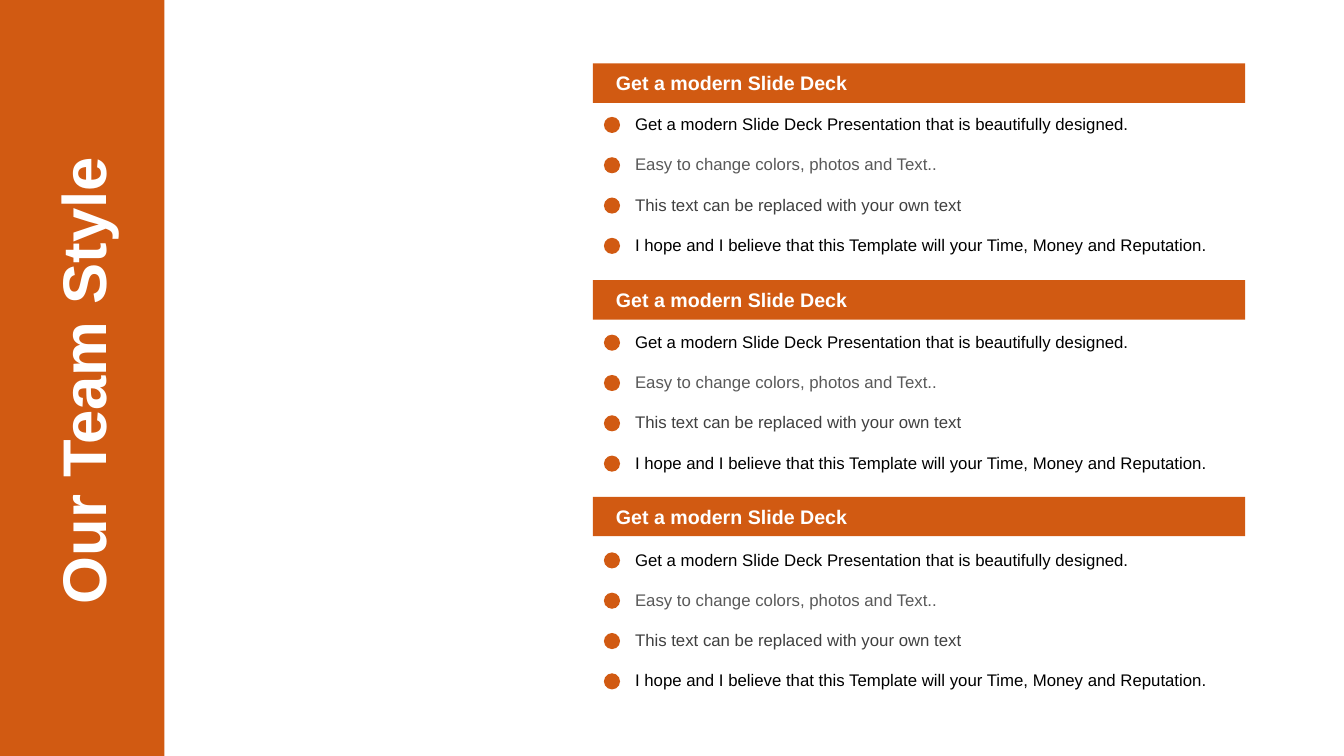
from pptx import Presentation
from pptx import util as u
from pptx.dml.color import RGBColor
from pptx.enum import shapes, text

COLORS = {"accent": "D15A12", "white": "FFFFFF", "black": "000000",
          "gray": "595959", "dark": "404040"}
HEADING = "Get a modern Slide Deck"
BULLETS = [
    ("Get a modern Slide Deck Presentation that is beautifully designed.", "black"),
    ("Easy to change colors, photos and Text..", "gray"),
    ("This text can be replaced with your own text", "dark"),
    ("I hope and I believe that this Template will your Time, Money and Reputation.", "black"),
]


def add_block(s, kind, x, y, w, h):
    """Add an accent-filled shape without outline."""
    sp = s.shapes.add_shape(kind, *map(u.Inches, (x, y, w, h)))
    sp.shadow.inherit = False
    sp.fill.solid()
    sp.fill.fore_color.rgb = RGBColor.from_string(COLORS["accent"])
    sp.line.fill.background()
    return sp


def add_label(s, words, x, y, w, h, size, color, bold=False, wrap=True):
    """Add a one-line text box in Arial."""
    sp = s.shapes.add_textbox(*map(u.Inches, (x, y, w, h)))
    tf = sp.text_frame
    tf.word_wrap = wrap
    p = tf.paragraphs[0]
    p.text = words
    p.font.name = "Arial"
    p.font.size = u.Pt(size)
    p.font.bold = bold
    p.font.color.rgb = RGBColor.from_string(COLORS[color])
    return sp


def add_sidebar(s, x, y, w, h):
    """Draw the side band with the title turned along it."""
    add_block(s, shapes.MSO_SHAPE.RECTANGLE, x, y, w, h)
    title_w, title_h = 4.69, 0.84
    sp = add_label(s, "Our Team Style", x + (w - title_w) / 2, y + (h - title_h) / 2,
                   title_w, title_h, 44, "white", bold=True, wrap=False)
    sp.rotation = 270


def add_header(s, x, y, w, h):
    """Draw a section bar with its heading."""
    add_block(s, shapes.MSO_SHAPE.RECTANGLE, x, y, w, h)
    sp = add_label(s, HEADING, x + 0.13, y + 0.04, 3.62, h - 0.08, 14, "white", bold=True)
    sp.text_frame.vertical_anchor = text.MSO_ANCHOR.MIDDLE


def add_bullets(s, x, y, w, row_h):
    """Draw the bullet rows, each a dot and a line of text."""
    for i, (words, color) in enumerate(BULLETS):
        top = y + i * row_h
        add_block(s, shapes.MSO_SHAPE.OVAL, x, top + 0.08, 0.16, 0.16)
        add_label(s, words, x + 0.21, top, w - 0.21, 0.3, 12, color)


def main():
    """Build the slide and save it."""
    prs = Presentation()
    prs.slide_width, prs.slide_height = u.Inches(13.33), u.Inches(7.5)
    s = prs.slides.add_slide(prs.slide_layouts[6])
    add_sidebar(s, 0, 0, 1.63, 7.5)
    for i in range(3):
        add_header(s, 5.88, 0.63 + i * 2.15, 6.47, 0.39)
        add_bullets(s, 5.99, 1.08 + i * 2.16, 6.49, 0.4)
    prs.save("out.pptx")


if __name__ == "__main__":
    main()
